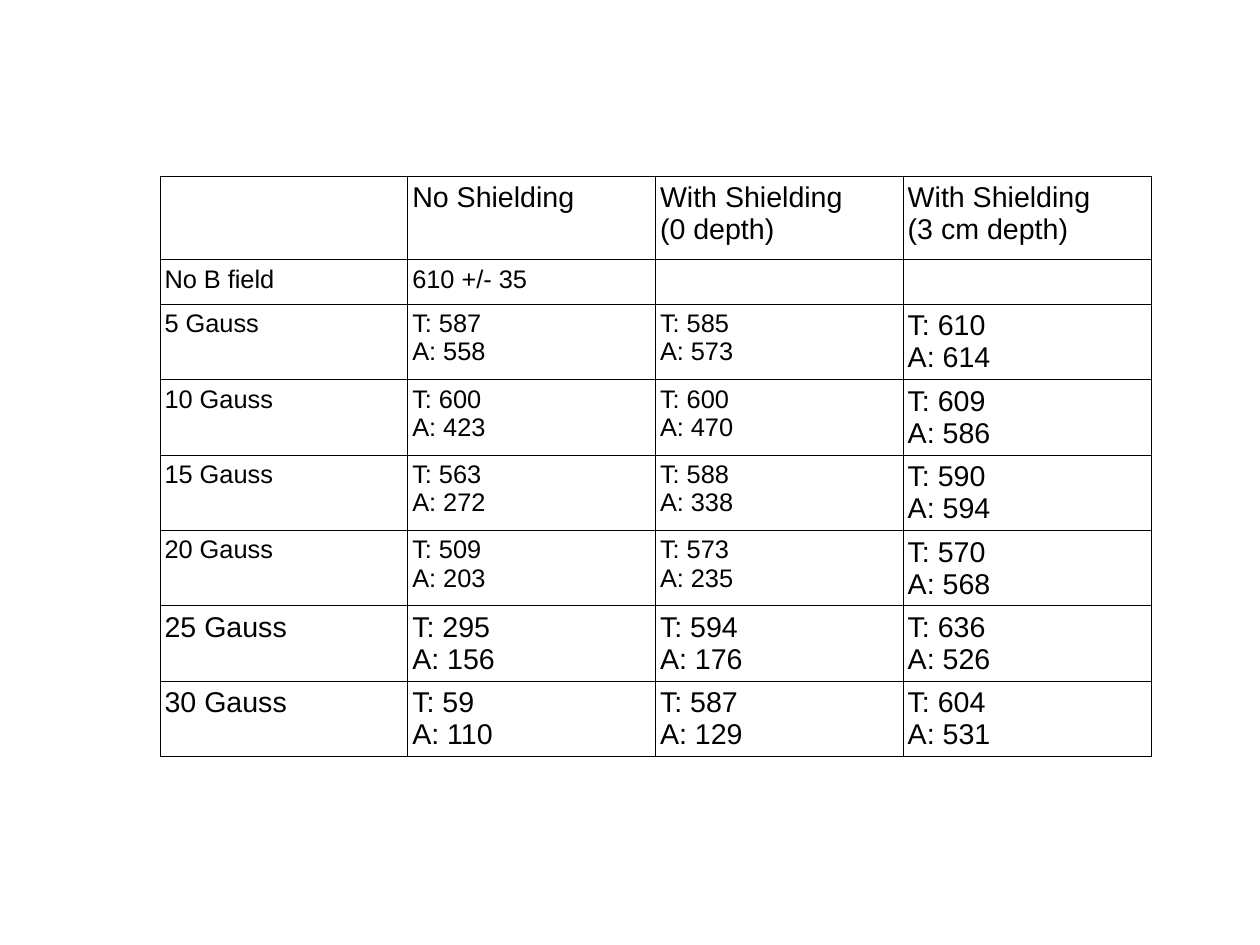
from lxml import etree
from pptx import Presentation
from pptx.dml.color import RGBColor
from pptx.oxml.ns import qn
from pptx.util import Inches, Pt

COLORS = {"ink": "000000", "paper": "FFFFFF"}
INSETS = {"margin_left": 0.04, "margin_right": 0.04,
          "margin_top": 0.05, "margin_bottom": 0.05}
CM = 1 / 2.54
FONT = "Arial"
WIDTH = 8.67 / 4
HEIGHTS = [0.73, 0.39] + [0.66] * 6
LARGE, SMALL = 18, 16

# Column heads, then the T and A readings for each field strength
HEADS = ["", "No Shielding", "With Shielding\n(0 depth)",
         "With Shielding\n(3 cm depth)"]
FIELDS = {
    5: [(587, 558), (585, 573), (610, 614)],
    10: [(600, 423), (600, 470), (609, 586)],
    15: [(563, 272), (588, 338), (590, 594)],
    20: [(509, 203), (573, 235), (570, 568)],
    25: [(295, 156), (594, 176), (636, 526)],
    30: [(59, 110), (587, 129), (604, 531)],
}


def make_rows():
    rows = [HEADS, ["No B field", "610 +/- 35", "", ""]]
    for gauss, pairs in FIELDS.items():
        rows.append([f"{gauss} Gauss"] + [f"T: {t}\nA: {a}" for t, a in pairs])
    return rows


def text_size(row, col):
    return SMALL if row == 1 or 2 <= row <= 5 and col < 3 else LARGE


def add_border(cell):
    props = cell._tc.get_or_add_tcPr()
    for side in ("lnL", "lnR", "lnT", "lnB"):
        line = etree.SubElement(props, qn(f"a:{side}"), w=str(Pt(0.57)))
        fill = etree.SubElement(line, qn("a:solidFill"))
        etree.SubElement(fill, qn("a:srgbClr"), val=COLORS["ink"])


def size_empty(para, size):
    end = etree.SubElement(para._p, qn("a:endParaRPr"), sz=str(size * 100))
    etree.SubElement(end, qn("a:latin"), typeface=FONT)


def fill_cell(cell, text, size):
    for name, value in INSETS.items():
        setattr(cell, name, Inches(value))
    add_border(cell)
    cell.fill.solid()
    cell.fill.fore_color.rgb = RGBColor.from_string(COLORS["paper"])
    if not text:
        size_empty(cell.text_frame.paragraphs[0], size)
        return
    cell.text = text
    style = {"name": FONT, "size": Pt(size), "bold": False}
    for para in cell.text_frame.paragraphs:
        for run in para.runs:
            for name, value in style.items():
                setattr(run.font, name, value)
            run.font.color.rgb = RGBColor.from_string(COLORS["ink"])


def add_grid(slide, rows):
    count = len(HEADS)
    frame = slide.shapes.add_table(
        len(rows), count, Inches(1.4), Inches(1.54),
        Inches(WIDTH * count), Inches(sum(HEIGHTS)))
    table = frame.table
    table.first_row = table.horz_banding = False
    for col in table.columns:
        col.width = Inches(WIDTH)
    for row, height in zip(table.rows, HEIGHTS):
        row.height = Inches(height)
    for r, texts in enumerate(rows):
        for c, text in enumerate(texts):
            fill_cell(table.cell(r, c), text, text_size(r, c))


def main():
    deck = Presentation()
    deck.slide_width, deck.slide_height = Inches(28 * CM), Inches(21 * CM)
    slide = deck.slides.add_slide(deck.slide_layouts[6])
    add_grid(slide, make_rows())
    deck.save("out.pptx")


if __name__ == "__main__":
    main()
